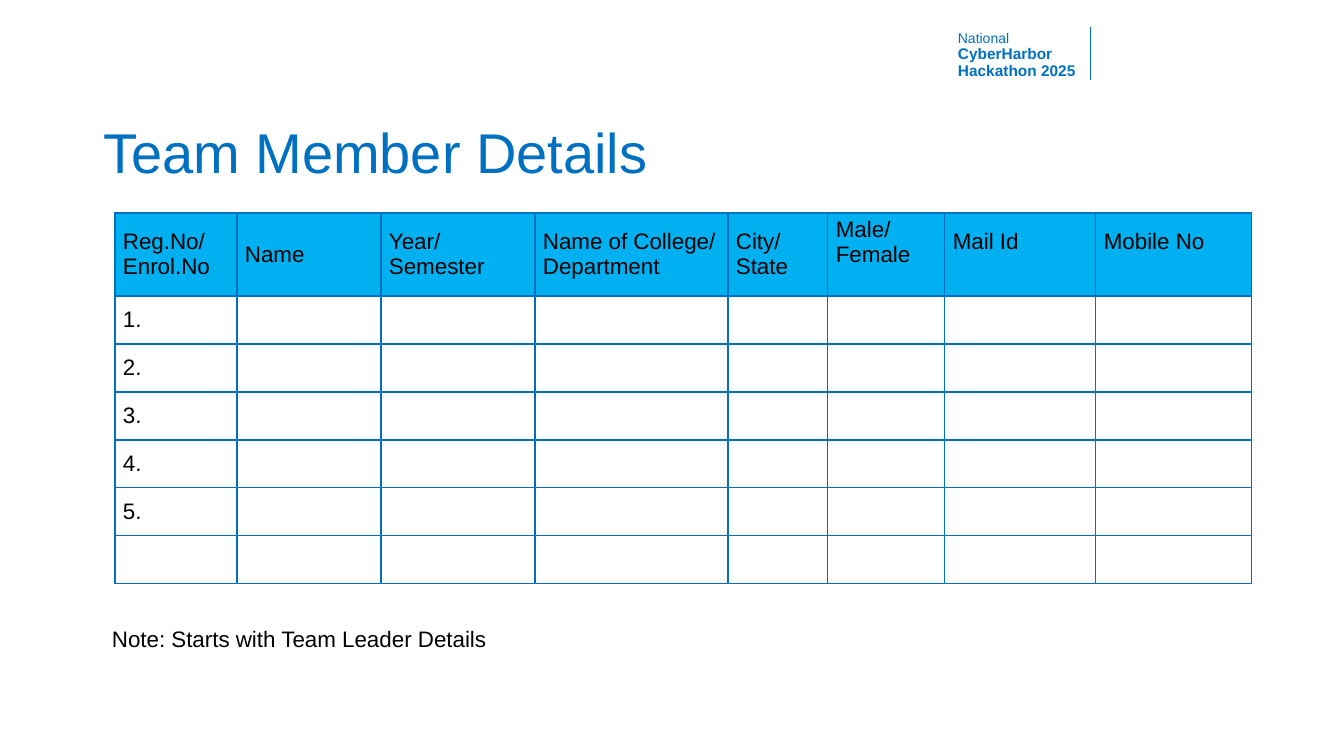
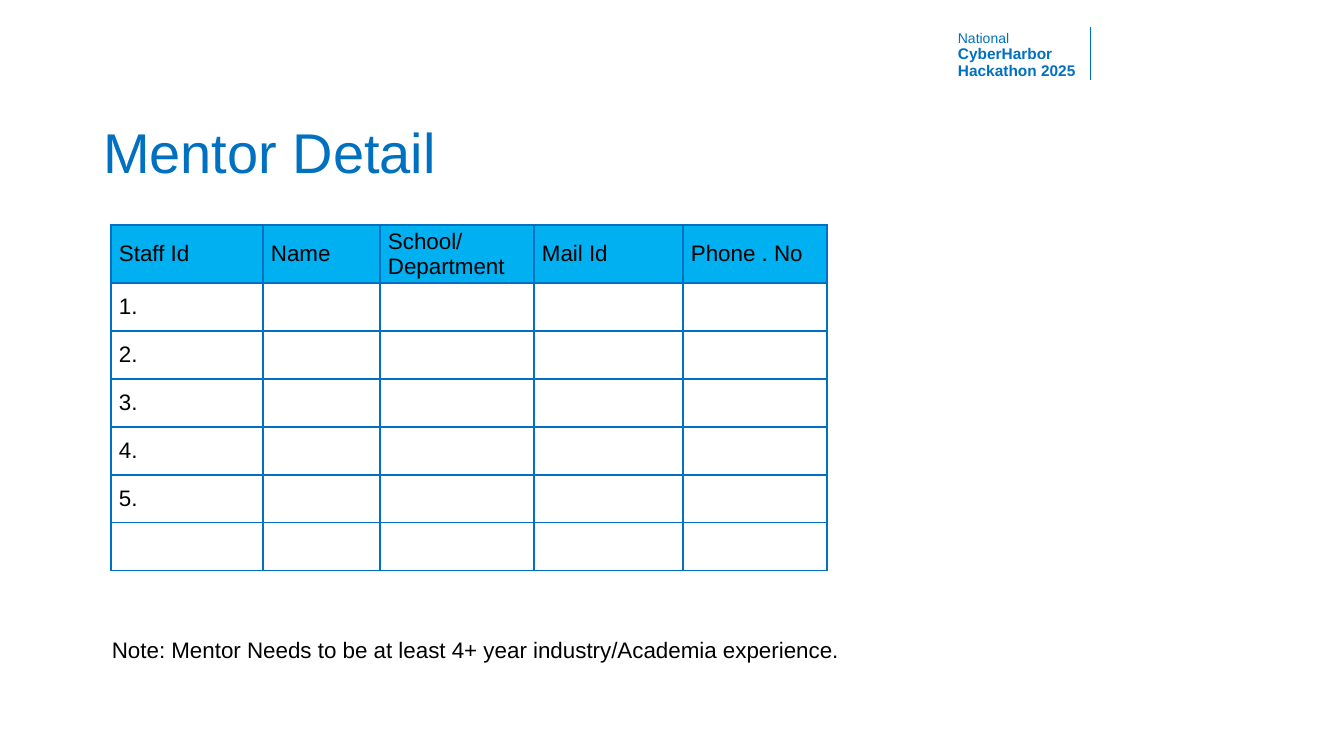
import pptx
import pptx.dml.color
import pptx.enum.shapes
import pptx.enum.text
import pptx.oxml
import pptx.oxml.ns
import pptx.util

EMU_PER_PX = 914400 / 100.8
FONT = "Arial"
BLUE = "0070C0"
HEADER_FILL = "00B0F0"
BLACK = "000000"
ROW_HEIGHT = 48
BODY_ROWS = ["1.", "2.", "3.", "4.", "5.", ""]
EVENT_LINES = [("National", 10, False), ("CyberHarbor", 11, True), ("Hackathon 2025", 11, True)]


def px(n):
    """Turn pixels into EMU."""
    return pptx.util.Emu(round(n * EMU_PER_PX))


def color(value):
    """Turn a hex string into a colour."""
    return pptx.dml.color.RGBColor.from_string(value)


def format_paragraph(p, size, value, bold=False, spacing=None):
    """Align a paragraph left and style its runs."""
    p.alignment = pptx.enum.text.PP_ALIGN.LEFT
    p.line_spacing = spacing
    for r in p.runs:
        r.font.name = FONT
        r.font.size = pptx.util.Pt(size)
        r.font.bold = bold
        r.font.color.rgb = color(value)


def add_event_mark(s, layout):
    """Build the event name and its rule, then move them to the layout."""
    sp = s.shapes.add_textbox(px(958), px(31), px(317), px(69))
    tf = sp.text_frame
    tf.word_wrap = True
    tf.margin_left = tf.margin_top = tf.margin_right = tf.margin_bottom = 0
    tf.text = "\n".join(line for line, _, _ in EVENT_LINES)
    for p, (_, size, bold) in zip(tf.paragraphs, EVENT_LINES):
        format_paragraph(p, size, BLUE, bold, 0.9)
    rule = s.shapes.add_connector(
        pptx.enum.shapes.MSO_CONNECTOR.STRAIGHT, px(1090), px(27), px(1090), px(80))
    rule.line.color.rgb = color(BLUE)
    rule.line.width = pptx.util.Pt(0.5)
    rule.element.spPr.append(pptx.oxml.parse_xml(
        f"<a:effectLst {pptx.oxml.ns.nsdecls('a')}/>"))
    for number, shape in enumerate((sp, rule), 101):
        shape.element.xpath(".//p:cNvPr")[0].set("id", str(number))
        layout.element.cSld.spTree.append(shape.element)


def place_title(layout):
    """Place the title on the layout."""
    sp = layout.placeholders[0]
    sp.left, sp.top, sp.width, sp.height = px(93), px(82), px(920), px(146)


def set_title(s, text):
    """Fill and format the slide title."""
    tf = s.shapes.title.text_frame
    tf.text = text
    tf.auto_size = pptx.enum.text.MSO_AUTO_SIZE.NONE
    tf.vertical_anchor = pptx.enum.text.MSO_ANCHOR.MIDDLE
    format_paragraph(tf.paragraphs[0], 40, BLUE, spacing=0.9)


def add_borders(cell):
    """Draw the four borders of a cell."""
    tc_pr = cell._tc.get_or_add_tcPr()
    for i, side in enumerate("LRTB"):
        tc_pr.insert(i, pptx.oxml.parse_xml(
            f'<a:ln{side} {pptx.oxml.ns.nsdecls("a")} w="12700"><a:solidFill>'
            f'<a:srgbClr val="{BLUE}"/></a:solidFill></a:ln{side}>'))


def format_cell(cell, text, fill=None, lift=0):
    """Write a cell and set its fill, margins and borders."""
    cell.text_frame.text = text
    for p in cell.text_frame.paragraphs:
        format_paragraph(p, 16, BLACK)
    cell.vertical_anchor = pptx.enum.text.MSO_ANCHOR.MIDDLE
    cell.margin_left = cell.margin_right = px(8)
    cell.margin_top = px(4)
    cell.margin_bottom = px(4 + lift)
    if fill:
        cell.fill.solid()
        cell.fill.fore_color.rgb = color(fill)
    else:
        cell.fill.background()
    add_borders(cell)


def add_details_table(s, left, top, header_height, columns):
    """Add a form table from (heading, width, lift) columns."""
    height = header_height + ROW_HEIGHT * len(BODY_ROWS)
    width = sum(w for _, w, _ in columns)
    table = s.shapes.add_table(
        len(BODY_ROWS) + 1, len(columns), px(left), px(top), px(width), px(height)).table
    table.horz_banding = False
    table.rows[0].height = px(header_height)
    for i, (heading, w, lift) in enumerate(columns):
        table.columns[i].width = px(w)
        format_cell(table.cell(0, i), heading, HEADER_FILL, lift)
    for row, label in enumerate(BODY_ROWS, 1):
        table.rows[row].height = px(ROW_HEIGHT)
        for i in range(len(columns)):
            format_cell(table.cell(row, i), label if i == 0 else "")


def add_note(s, top, width, text):
    """Add the note below the table."""
    tf = s.shapes.add_textbox(px(102), px(top), px(width), px(37)).text_frame
    tf.word_wrap = False
    tf.auto_size = pptx.enum.text.MSO_AUTO_SIZE.SHAPE_TO_FIT_TEXT
    tf.text = text
    format_paragraph(tf.paragraphs[0], 16, BLACK)


def main():
    """Build and save the presentation."""
    prs = pptx.Presentation()
    prs.slide_width, prs.slide_height = px(1344), px(756)
    layout = prs.slide_layouts.get_by_name("Title Only")
    place_title(layout)

    s = prs.slides.add_slide(layout)
    add_event_mark(s, layout)
    set_title(s, "Team Member Details")
    add_details_table(s, 115, 213, 83, [
        ("Reg.No/\nEnrol.No", 122, 0),
        ("Name", 144, 0),
        ("Year/\nSemester", 154, 0),
        ("Name of College/\nDepartment", 193, 0),
        ("City/\nState", 100, 0),
        ("Male/\nFemale", 117, 25),
        ("Mail Id", 151, 25),
        ("Mobile No", 156, 25),
    ])
    add_note(s, 620, 406, "Note: Starts with Team Leader Details")

    s = prs.slides.add_slide(layout)
    set_title(s, "Mentor Detail")
    add_details_table(s, 111, 225, 58, [
        ("Staff Id", 152, 0),
        ("Name", 117, 0),
        ("School/\nDepartment", 154, 0),
        ("Mail Id", 149, 0),
        ("Phone . No", 144, 0),
    ])
    add_note(s, 631, 763,
             "Note: Mentor Needs to be at least 4+ year industry/Academia experience.")
    prs.save("out.pptx")


if __name__ == "__main__":
    main()
